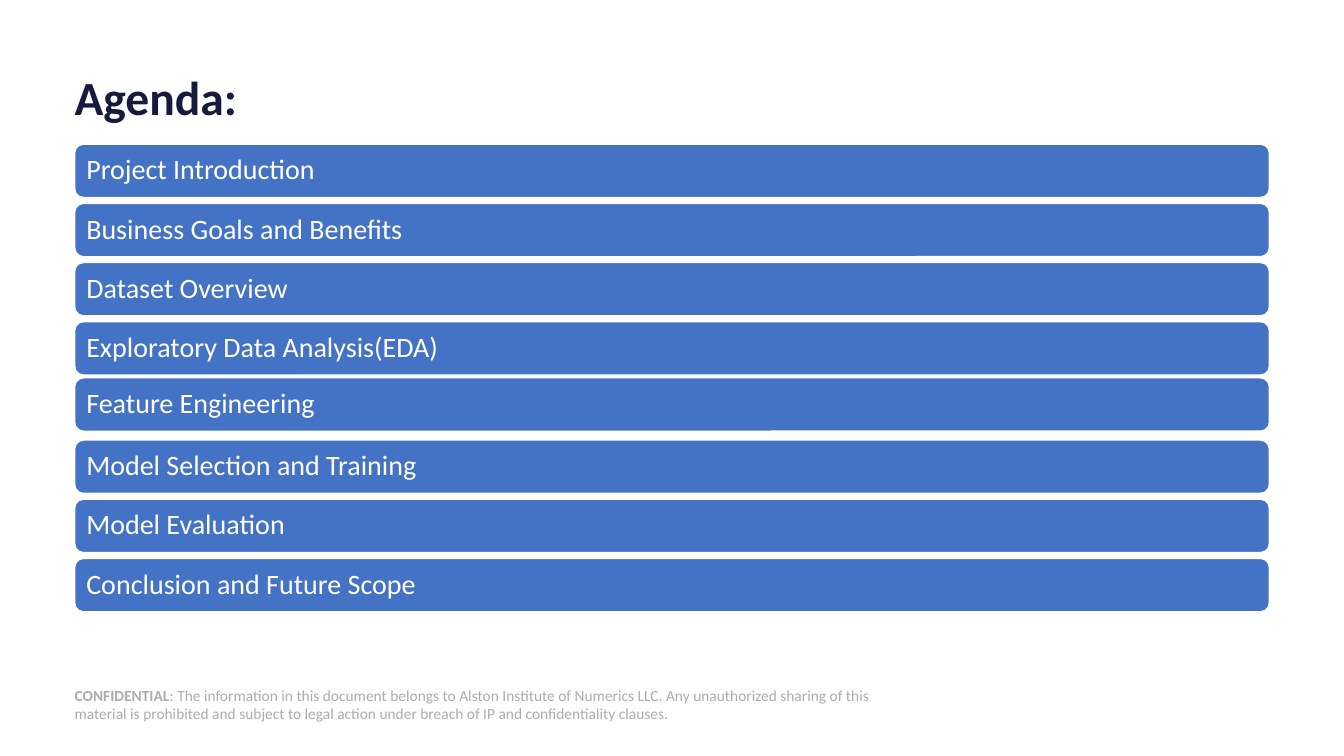
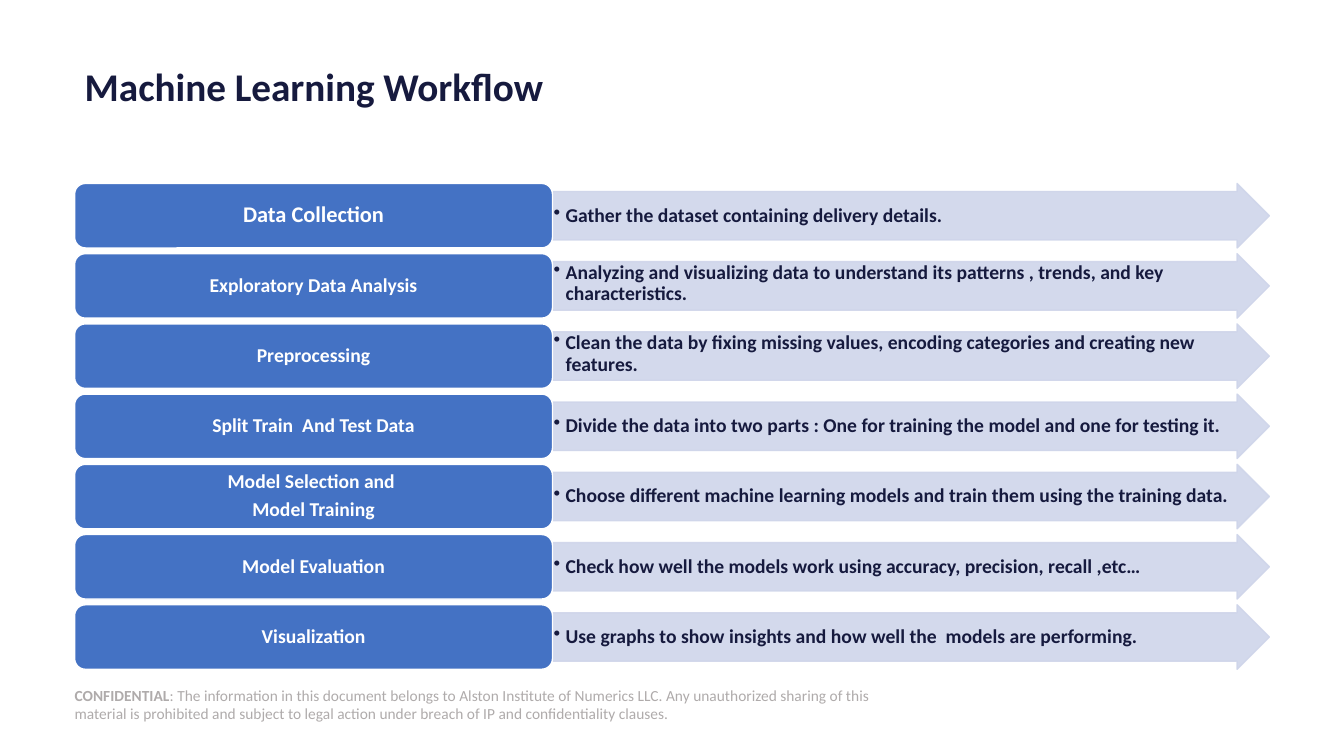
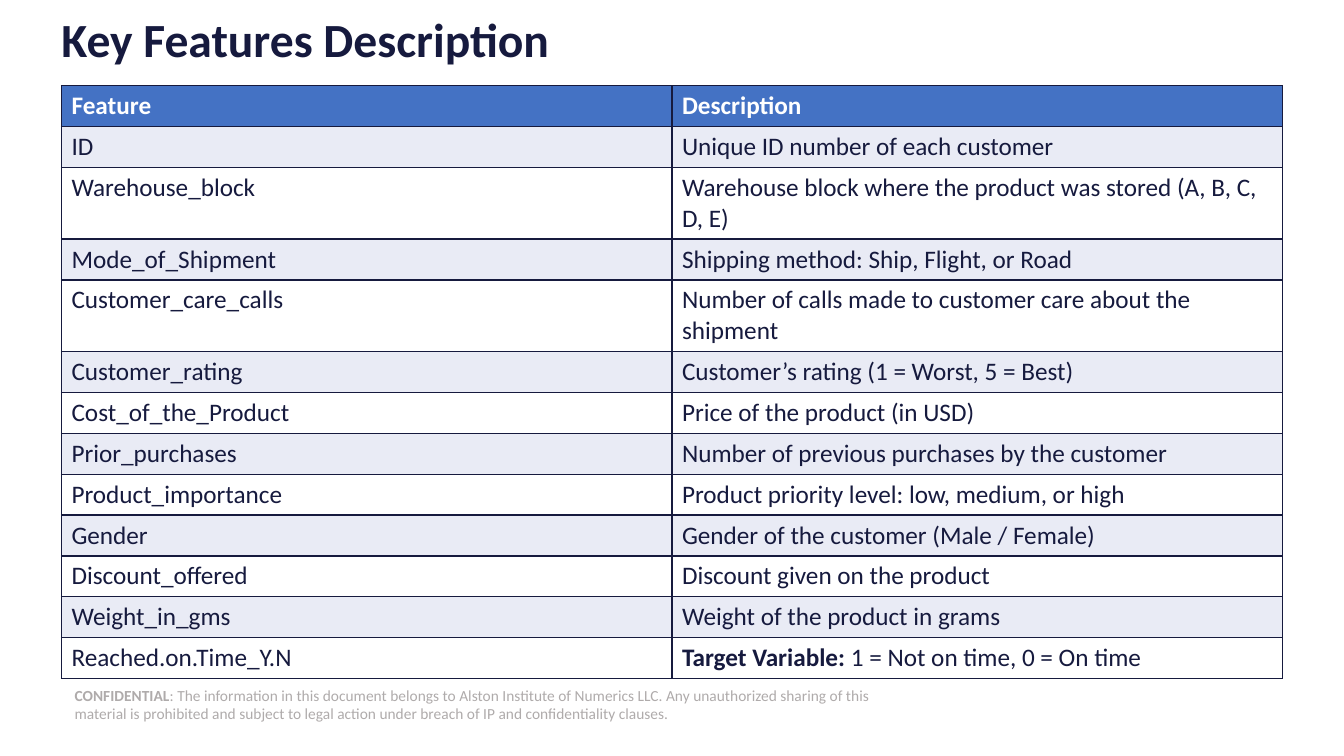
from dataclasses import dataclass

from lxml.etree import SubElement
from pptx import Presentation
from pptx.dml.color import RGBColor
from pptx.enum.shapes import MSO_SHAPE
from pptx.enum.text import MSO_ANCHOR, MSO_AUTO_SIZE, PP_ALIGN
from pptx.oxml.ns import qn
from pptx.util import Inches, Pt

# Shared look
FONT = "Calibri"
NAVY, BLUE, WHITE = "161A3E", "4472C4", "FFFFFF"
PALE_ARROW, PALE_ROW, GREY = "CFD5EA", "E9EBF5", "AFABAB"
LEFT, WIDTH = 0.74, 11.85
NOTICE = (
    ": The information in this document belongs to Alston Institute of Numerics LLC. "
    "Any unauthorized sharing of this material is prohibited and subject to legal action "
    "under breach of IP and confidentiality clauses."
)


@dataclass(frozen=True)
class Box:
    left: float
    top: float
    width: float
    height: float

    def lengths(self):
        return [Inches(value) for value in (self.left, self.top, self.width, self.height)]


@dataclass(frozen=True)
class Step:
    label: tuple[str, ...]
    detail: str
    label_size: int = 14
    anchor: MSO_ANCHOR = MSO_ANCHOR.MIDDLE


@dataclass(frozen=True)
class Feature:
    name: str
    description: str
    lead: str = ""
    height: float = 0.35


# Content
AGENDA = (
    "Project Introduction",
    "Business Goals and Benefits",
    "Dataset Overview",
    "Exploratory Data Analysis(EDA)",
    "Feature Engineering",
    "Model Selection and Training",
    "Model Evaluation",
    "Conclusion and Future Scope",
)
AGENDA_SHIFT = {"Feature Engineering": -0.03}

WORKFLOW = (
    Step(("Data Collection",), "Gather the dataset containing delivery details.", 16),
    Step(("Exploratory Data Analysis",),
         "Analyzing and visualizing data to understand its patterns , trends, and key "
         "characteristics.", anchor=MSO_ANCHOR.TOP),
    Step(("Preprocessing",),
         "Clean the data by fixing missing values, encoding categories and creating new "
         "features.", anchor=MSO_ANCHOR.TOP),
    Step(("Split Train  And Test Data",),
         "Divide the data into two parts : One for training the model and one for testing it."),
    Step(("Model Selection and ", "Model Training"),
         "Choose different machine learning models and train them using the training data."),
    Step(("Model Evaluation",),
         "Check how well the models work using accuracy, precision, recall ,etc…"),
    Step(("Visualization",),
         "Use graphs to show insights and how well the  models are performing."),
)

FEATURES = (
    Feature("Feature", "Description"),
    Feature("ID", "Unique ID number of each customer"),
    Feature("Warehouse_block", "Warehouse block where the product was stored (A, B, C, D, E)",
            height=0.67),
    Feature("Mode_of_Shipment", "Shipping method: Ship, Flight, or Road"),
    Feature("Customer_care_calls", "Number of calls made to customer care about the shipment",
            height=0.62),
    Feature("Customer_rating", "Customer’s rating (1 = Worst, 5 = Best)"),
    Feature("Cost_of_the_Product", "Price of the product (in USD)"),
    Feature("Prior_purchases", "Number of previous purchases by the customer"),
    Feature("Product_importance", "Product priority level: low, medium, or high"),
    Feature("Gender", "Gender of the customer (Male / Female)"),
    Feature("Discount_offered", "Discount given on the product"),
    Feature("Weight_in_gms", "Weight of the product in grams"),
    Feature("Reached.on.Time_Y.N", " 1 = Not on time, 0 = On time", lead="Target Variable:"),
)


# Text and shape helpers
def color(value: str) -> RGBColor:
    return RGBColor.from_string(value)


def add_run(paragraph, text: str, size: int, hex_color: str, bold: bool = False) -> None:
    run = paragraph.add_run()
    run.text = text
    run.font.name = FONT
    run.font.size = Pt(size)
    run.font.bold = bold
    run.font.color.rgb = color(hex_color)


def set_frame(shape, insets=(0, 0, 0, 0), anchor=MSO_ANCHOR.MIDDLE):
    frame = shape.text_frame
    frame.word_wrap = True
    frame.auto_size = MSO_AUTO_SIZE.NONE
    frame.vertical_anchor = anchor
    frame.margin_left, frame.margin_top, frame.margin_right, frame.margin_bottom = [
        Inches(inset) for inset in insets
    ]
    return frame


def add_block(slide, kind: MSO_SHAPE, box: Box, fill: str, line: str):
    shape = slide.shapes.add_shape(kind, *box.lengths())
    shape.shadow.inherit = False
    shape.fill.solid()
    shape.fill.fore_color.rgb = color(fill)
    shape.line.color.rgb = color(line)
    shape.line.width = Pt(1)
    return shape


def add_bar(slide, box: Box, lines: tuple[str, ...], size: int, insets,
            alignment: PP_ALIGN, bold: bool) -> None:
    bar = add_block(slide, MSO_SHAPE.ROUNDED_RECTANGLE, box, BLUE, WHITE)
    frame = set_frame(bar, insets)
    for index, text in enumerate(lines):
        paragraph = frame.add_paragraph() if index else frame.paragraphs[0]
        paragraph.alignment = alignment
        paragraph.line_spacing = 0.9
        paragraph.space_after = Pt(0.35 * size)
        add_run(paragraph, text, size, WHITE, bold)


def add_arrow(slide, box: Box, step: Step) -> None:
    arrow = add_block(slide, MSO_SHAPE.RIGHT_ARROW, box, PALE_ARROW, PALE_ARROW)
    arrow.adjustments[0], arrow.adjustments[1] = 0.75, 0.5
    # Fill and outline are 90% opaque
    for solid_color in arrow._element.spPr.iter(qn("a:srgbClr")):
        SubElement(solid_color, qn("a:alpha"), val="90000")
    frame = set_frame(arrow, (0.01, 0.01, 0.08, 0.01), step.anchor)
    paragraph = frame.paragraphs[0]
    properties = paragraph._p.get_or_add_pPr()
    properties.set("marL", str(Inches(0.12)))
    properties.set("indent", str(Inches(-0.12)))
    SubElement(properties, qn("a:buChar"), char="•")
    paragraph.font.size = Pt(14)
    paragraph.alignment = PP_ALIGN.LEFT
    paragraph.line_spacing = 0.9
    add_run(paragraph, step.detail, 14, NAVY, True)
    # The paragraph mark sets the height of the bullet
    SubElement(paragraph._p, qn("a:endParaRPr"), sz="1400")


def add_borders(cell) -> None:
    properties = cell._tc.get_or_add_tcPr()
    for index, side in enumerate(("lnL", "lnR", "lnT", "lnB")):
        border = SubElement(properties, qn(f"a:{side}"), w=str(Pt(1)))
        fill = SubElement(border, qn("a:solidFill"))
        SubElement(fill, qn("a:srgbClr"), val=NAVY)
        properties.insert(index, border)


def new_slide(presentation, title: str, box: Box, size: int = 34):
    slide = presentation.slides.add_slide(presentation.slide_layouts[5])
    # Title
    placeholder = slide.shapes.title
    placeholder.left, placeholder.top, placeholder.width, placeholder.height = box.lengths()
    paragraph = set_frame(placeholder).paragraphs[0]
    paragraph.alignment = PP_ALIGN.LEFT
    paragraph.line_spacing = 0.9
    add_run(paragraph, title, size, NAVY, True)
    # Confidentiality footer
    footer = slide.shapes.add_textbox(*Box(LEFT, 6.79, 8.17, 0.4).lengths())
    footer.fill.solid()
    footer.fill.fore_color.rgb = color(WHITE)
    paragraph = set_frame(footer).paragraphs[0]
    add_run(paragraph, "CONFIDENTIAL", 11, GREY, True)
    add_run(paragraph, NOTICE, 11, GREY)
    return slide


# Slides
def build_agenda(presentation) -> None:
    slide = new_slide(presentation, "Agenda:", Box(LEFT, 0.66, WIDTH, 0.67))
    first, last = 1.43, 5.54
    pitch = (last - first) / (len(AGENDA) - 1)
    for index, topic in enumerate(AGENDA):
        top = first + index * pitch + AGENDA_SHIFT.get(topic, 0)
        add_bar(slide, Box(LEFT, top, WIDTH, 0.53), (topic,), 20,
                (0.09, 0.08, 0.08, 0.08), PP_ALIGN.LEFT, False)


def build_workflow(presentation) -> None:
    slide = new_slide(presentation, "Machine Learning Workflow",
                      Box(LEFT + 0.1, 0.57, WIDTH - 0.1, 0.62), 28)
    first, last, height, label_width = 1.82, 6.0, 0.64, 4.74
    pitch = (last - first) / (len(WORKFLOW) - 1)
    for index, step in enumerate(WORKFLOW):
        top = first + index * pitch
        add_arrow(slide, Box(LEFT + label_width, top, WIDTH - label_width, height), step)
        add_bar(slide, Box(LEFT, top, label_width, height), step.label, step.label_size,
                (0.06, 0.03, 0.06, 0.03), PP_ALIGN.CENTER, True)


def build_features(presentation) -> None:
    slide = new_slide(presentation, "Key Features Description", Box(0.61, 0.08, WIDTH, 0.67))
    total_height = sum(feature.height for feature in FEATURES)
    table = slide.shapes.add_table(
        len(FEATURES), 2, *Box(0.61, 0.85, 12.11, total_height).lengths()
    ).table
    for row_index, feature in enumerate(FEATURES):
        table.rows[row_index].height = Inches(feature.height)
        header = row_index == 0
        fill = BLUE if header else PALE_ROW if row_index % 2 else WHITE
        text_color = WHITE if header else NAVY
        cells = (("", feature.name), (feature.lead, feature.description))
        for column_index, (lead, text) in enumerate(cells):
            cell = table.cell(row_index, column_index)
            cell.fill.solid()
            cell.fill.fore_color.rgb = color(fill)
            add_borders(cell)
            paragraph = cell.text_frame.paragraphs[0]
            if lead:
                add_run(paragraph, lead, 18, text_color, True)
            add_run(paragraph, text, 18, text_color, header)


def main() -> None:
    presentation = Presentation()
    presentation.slide_width = Inches(13.33)
    presentation.slide_height = Inches(7.5)
    build_agenda(presentation)
    build_workflow(presentation)
    build_features(presentation)
    presentation.save("out.pptx")


if __name__ == "__main__":
    main()
